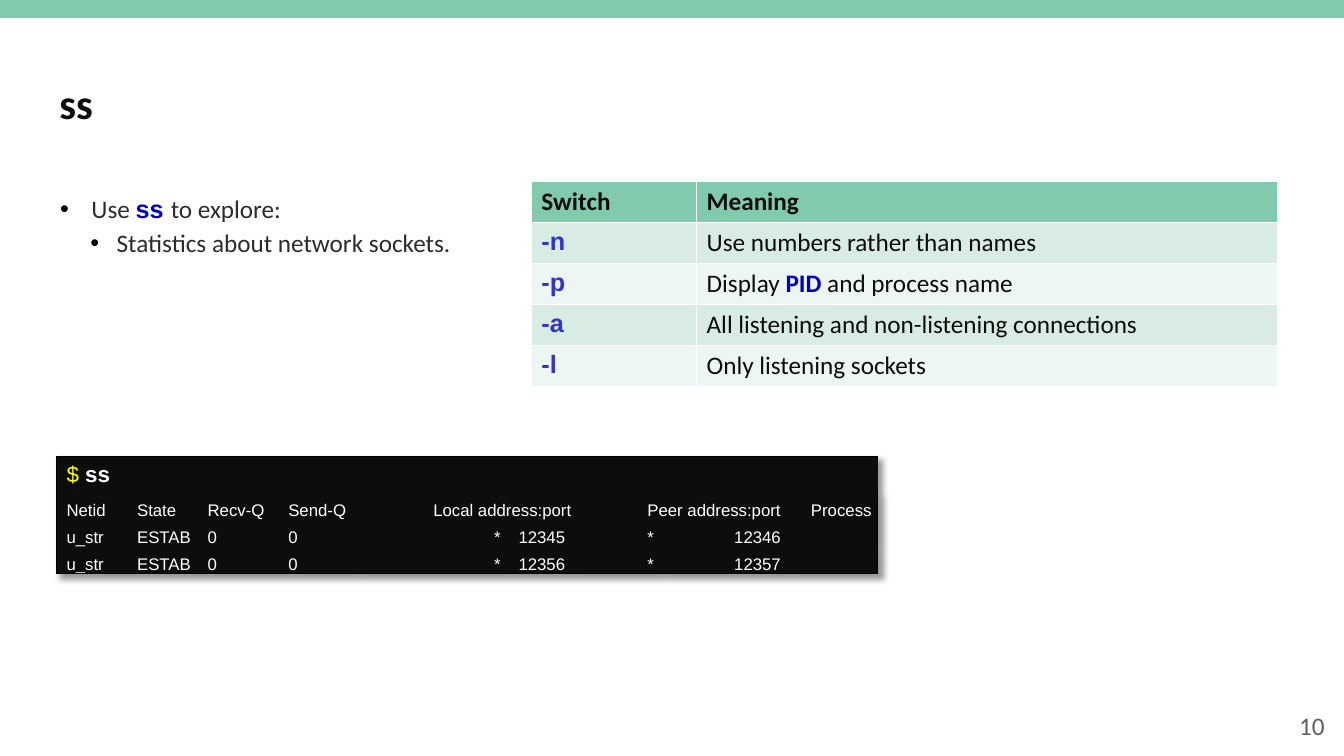
from dataclasses import dataclass
from typing import Optional

from lxml import etree
from pptx import Presentation
from pptx.dml import color
from pptx.enum import shapes, text
from pptx.oxml import ns
from pptx.util import Pt


@dataclass(frozen=True)
class Theme:
    green: str = "82CAAE"
    band_dark: str = "D8ECE3"
    band_light: str = "EDF6F2"
    ink: str = "0D0D0D"
    body: str = "2D2C2C"
    keyword: str = "0000C7"
    switch: str = "3333CC"
    prompt: str = "FFFF00"
    white: str = "FFFFFF"
    black: str = "000000"
    number: str = "5F5F5F"
    sans: str = "Calibri"
    code: str = "Arial"
    title_size: float = 30
    text_size: float = 18
    prompt_size: float = 16
    output_size: float = 12


@dataclass(frozen=True)
class Span:
    words: str
    color: Optional[str] = None
    bold: Optional[bool] = None
    font: Optional[str] = None


@dataclass(frozen=True)
class Bullet:
    spans: list[Span]
    margin: float
    hanging: float
    before: float = 0


THEME = Theme()
LEFT, RIGHT = text.PP_ALIGN.LEFT, text.PP_ALIGN.RIGHT
PLAIN_TABLE = "{2D5ABB26-0587-4C30-8999-92F81FD0307C}"

BULLETS = [
    Bullet([Span("Use "), Span("ss ", THEME.keyword, True, THEME.code),
            Span("to explore:")], 23, 22.3),
    Bullet([Span("Statistics about network sockets.")], 41, 18.7, 4.9),
]
SWITCHES = [
    ("-n", [Span("Use numbers rather than names")]),
    ("-p", [Span("Display "), Span("PID ", THEME.keyword, True),
            Span("and process name")]),
    ("-a", [Span("All listening and non-listening connections")]),
    ("-l", [Span("Only listening sockets")]),
]
# None marks a cell covered by the one to its left
SOCKETS = [
    ["Netid", "State", "Recv-Q", "Send-Q", "Local address:port", None,
     "Peer address:port", None, "Process"],
    ["u_str", "ESTAB", "0", "0", "*", "12345", "*", "12346", ""],
    ["u_str", "ESTAB", "0", "0", "*", "12356", "*", "12357", ""],
]
SOCKET_WIDTHS = [50.4, 50.4, 57.6, 57.6, 105.84, 46.08, 63.36, 90.72, 64.8]


def rgb(value: str) -> color.RGBColor:
    return color.RGBColor.from_string(value)


def write(para, spans: list[Span], size: float, ink: str, font: str = THEME.sans,
          bold: bool = False, align=LEFT) -> None:
    para.alignment = align
    para.font.size, para.font.name = Pt(size), font
    para.font.bold, para.font.color.rgb = bold, rgb(ink)
    for span in spans:
        run = para.add_run()
        run.text = span.words
        if span.color:
            run.font.color.rgb = rgb(span.color)
        if span.bold is not None:
            run.font.bold = span.bold
        if span.font:
            run.font.name = span.font


def add_box(page, left: float, top: float, width: float, height: float):
    frame = page.shapes.add_textbox(Pt(left), Pt(top), Pt(width), Pt(height)).text_frame
    frame.word_wrap = True
    return frame


def add_bullets(page, bullets: list[Bullet]) -> None:
    frame = add_box(page, 35.3, 136.8, 340, 60)
    for index, bullet in enumerate(bullets):
        para = frame.add_paragraph() if index else frame.paragraphs[0]
        para.line_spacing, para.space_before = 0.9, Pt(bullet.before)
        props = para._p.get_or_add_pPr()
        props.set("marL", str(Pt(bullet.margin)))
        props.set("indent", str(-Pt(bullet.hanging)))
        tint = etree.SubElement(props, ns.qn("a:buClr"))
        etree.SubElement(tint, ns.qn("a:srgbClr"), val=THEME.black)
        etree.SubElement(props, ns.qn("a:buFont"), typeface=THEME.code)
        etree.SubElement(props, ns.qn("a:buChar"), char="•")
        write(para, bullet.spans, THEME.text_size, THEME.body)


def add_grid(page, left: float, top: float, widths: list[float], heights: list[float]):
    frame = page.shapes.add_table(len(heights), len(widths), Pt(left), Pt(top),
                                  Pt(sum(widths)), Pt(sum(heights)))
    for column, width in zip(frame.table.columns, widths):
        column.width = Pt(width)
    for row, height in zip(frame.table.rows, heights):
        row.height = Pt(height)
    return frame


def fill_cell(cell, fill: str):
    cell.fill.solid()
    cell.fill.fore_color.rgb = rgb(fill)
    return cell.text_frame.paragraphs[0]


def add_switches(page) -> None:
    table = add_grid(page, 379.6, 129.6, [118, 414.8], [29.3] * 5).table
    for column, label in enumerate(("Switch", "Meaning")):
        write(fill_cell(table.cell(0, column), THEME.green), [Span(label)],
              THEME.text_size, THEME.ink, bold=True)
    for row, (switch, meaning) in enumerate(SWITCHES, 1):
        band = THEME.band_dark if row % 2 else THEME.band_light
        write(fill_cell(table.cell(row, 0), band), [Span(switch)],
              THEME.text_size, THEME.switch, THEME.code, True)
        write(fill_cell(table.cell(row, 1), band), meaning, THEME.text_size, THEME.ink)


def edge_cell(cell, sides: str) -> None:
    for side in sides:
        line = etree.SubElement(cell._tc.get_or_add_tcPr(), ns.qn(f"a:ln{side}"),
                                w=str(Pt(1)))
        paint = etree.SubElement(line, ns.qn("a:solidFill"))
        etree.SubElement(paint, ns.qn("a:srgbClr"), val=THEME.black)


def style_terminal(frame) -> None:
    props = frame.element.find(".//" + ns.qn("a:tblPr"))
    props.find(ns.qn("a:tableStyleId")).text = PLAIN_TABLE
    effects = etree.Element(ns.qn("a:effectLst"))
    props.insert(0, effects)
    shadow = etree.SubElement(effects, ns.qn("a:outerShdw"), blurRad=str(Pt(4)),
                              dist=str(Pt(4)), dir="2700000", algn="tl")
    tint = etree.SubElement(shadow, ns.qn("a:srgbClr"), val=THEME.black)
    etree.SubElement(tint, ns.qn("a:alpha"), val="40000")


def add_terminal(page) -> None:
    frame = add_grid(page, 40.3, 326.2, SOCKET_WIDTHS, [23] + [19.2] * 3)
    style_terminal(frame)
    table = frame.table
    last_row, last_column = len(SOCKETS), len(SOCKET_WIDTHS) - 1
    for row in range(last_row + 1):
        for column in range(last_column + 1):
            cell = table.cell(row, column)
            edge_cell(cell, "L" * (column == 0) + "R" * (column == last_column)
                      + "T" * (row == 0) + "B" * (row == last_row))
            cell.margin_top = Pt(0 if row else 4.3)
            cell.margin_bottom = 0
            cell.margin_left = Pt(7.2 if column < 4 else 0)
            cell.margin_right = Pt(4.5 if column > 3 else 0)
            para = fill_cell(cell, THEME.ink)
            if row:
                words = SOCKETS[row - 1][column]
                para.line_spacing = Pt(19.2)
                write(para, [Span(words)] if words else [], THEME.output_size,
                      THEME.white, THEME.code, align=LEFT if column < 4 else RIGHT)
    write(table.cell(0, 0).text_frame.paragraphs[0],
          [Span("$ ", THEME.prompt, False), Span("ss")],
          THEME.prompt_size, THEME.white, THEME.code, True)
    table.cell(1, 4).margin_right = 0
    for row, first, last in ((0, 0, 3), (0, 4, 8), (1, 4, 5), (1, 6, 7)):
        table.cell(row, first).merge(table.cell(row, last))


def main() -> None:
    deck = Presentation()
    deck.slide_width, deck.slide_height = Pt(960), Pt(540)
    page = deck.slides.add_slide(deck.slide_layouts[5])

    # Top band
    band = page.shapes.add_shape(shapes.MSO_SHAPE.RECTANGLE, 0, 0, Pt(960), Pt(13))
    band.shadow.inherit = False
    band.fill.solid()
    band.fill.fore_color.rgb = rgb(THEME.green)
    band.line.fill.background()

    # Title
    title = page.shapes.title
    title.left, title.top, title.width, title.height = Pt(35.3), Pt(39.6), Pt(890), Pt(67.7)
    title.text_frame.vertical_anchor = text.MSO_ANCHOR.MIDDLE
    write(title.text_frame.paragraphs[0], [Span("ss")], THEME.title_size, THEME.ink, bold=True)

    # Content
    add_bullets(page, BULLETS)
    add_terminal(page)
    add_switches(page)

    # Page number
    number = add_box(page, 737.3, 504, 216, 28.8)
    number.vertical_anchor = text.MSO_ANCHOR.MIDDLE
    write(number.paragraphs[0], [Span("10")], THEME.text_size, THEME.number, align=RIGHT)

    deck.save("out.pptx")


if __name__ == "__main__":
    main()
